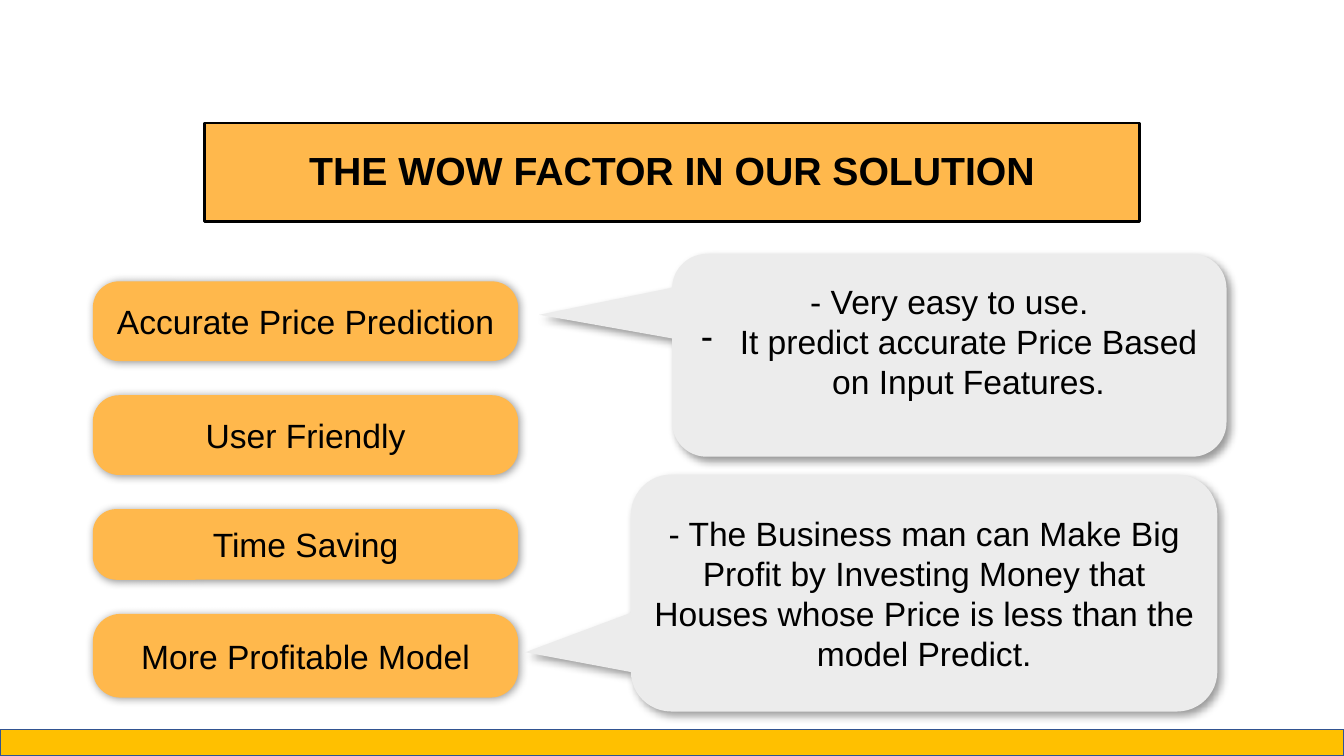
import pptx
import pptx.util
import pptx.oxml
import pptx.oxml.ns
import pptx.dml.color
import pptx.enum.shapes
import pptx.enum.text
from pptx.util import Cm

COLORS = {"pill": "FFB84C", "callout": "ECECEC", "footer": "FFC000",
          "footer_line": "325491", "ink": "000000"}
NS = pptx.oxml.ns.nsdecls("a")
MSO = pptx.enum.shapes.MSO_SHAPE


def format_text(sp, size, bold=False):
    tf = sp.text_frame
    tf.word_wrap = True
    tf.auto_size = pptx.enum.text.MSO_AUTO_SIZE.NONE
    tf.vertical_anchor = pptx.enum.text.MSO_ANCHOR.MIDDLE
    for p in tf.paragraphs:
        p.alignment = pptx.enum.text.PP_ALIGN.CENTER
        for r in p.runs:
            r.font.size = pptx.util.Pt(size)
            r.font.name = "Arial"
            r.font.bold = bold
            r.font.color.rgb = pptx.dml.color.RGBColor.from_string(COLORS["ink"])


def add_card(s, kind, box, adjustments, color, distance, text):
    sp = s.shapes.add_shape(kind, *[Cm(v) for v in box])
    for i, value in enumerate(adjustments):
        sp.adjustments[i] = value
    sp.fill.solid()
    sp.fill.fore_color.rgb = pptx.dml.color.RGBColor.from_string(COLORS[color])
    sp.line.fill.background()
    sp._element.spPr.append(pptx.oxml.parse_xml(
        f'<a:effectLst {NS}><a:outerShdw blurRad="{pptx.util.Pt(6)}" '
        f'dist="{pptx.util.Pt(distance)}" dir="2700000" algn="tl" rotWithShape="0">'
        f'<a:srgbClr val="{COLORS["ink"]}"><a:alpha val="40000"/></a:srgbClr>'
        '</a:outerShdw></a:effectLst>'))
    sp.text_frame.text = text
    format_text(sp, 24)
    return sp


prs = pptx.Presentation()
prs.slide_width = Cm(33.87)
prs.slide_height = Cm(19.05)
s = prs.slides.add_slide(prs.slide_layouts[5])

footer = s.shapes.add_shape(MSO.RECTANGLE, 0, Cm(18.39), prs.slide_width, Cm(0.66))
footer.shadow.inherit = False
footer.fill.solid()
footer.fill.fore_color.rgb = pptx.dml.color.RGBColor.from_string(COLORS["footer"])
footer.line.color.rgb = pptx.dml.color.RGBColor.from_string(COLORS["footer_line"])
footer.line.width = pptx.util.Pt(1)

title = s.shapes.title
title.left, title.top, title.width, title.height = Cm(5.16), Cm(3.1), Cm(23.55), Cm(2.49)
title._element.spPr.append(pptx.oxml.parse_xml(
    f'<a:prstGeom {NS} prst="snip2DiagRect"><a:avLst>'
    '<a:gd name="adj1" fmla="val 27000"/><a:gd name="adj2" fmla="val 27000"/>'
    '</a:avLst></a:prstGeom>'))
title.fill.solid()
title.fill.fore_color.rgb = pptx.dml.color.RGBColor.from_string(COLORS["pill"])
title.line.color.rgb = pptx.dml.color.RGBColor.from_string(COLORS["ink"])
title.line.width = pptx.util.Pt(2)
title.text_frame.text = "THE WOW FACTOR IN OUR SOLUTION"
format_text(title, 28, bold=True)
title.text_frame.paragraphs[0].line_spacing = 0.9

benefits = [("Accurate Price Prediction", 2.01), ("User Friendly", 2.01),
            ("Time Saving", 1.78), ("More Profitable Model", 2.11)]
top = 7.09
for text, height in benefits:
    add_card(s, MSO.ROUNDED_RECTANGLE, (2.34, top, 10.72, height), [0.33],
             "pill", 1, text)
    top += height + 0.86

add_card(s, MSO.ROUNDED_RECTANGULAR_CALLOUT, (15.9, 11.96, 14.78, 5.97),
         [-0.68, 0.25, 0.17], "callout", 4,
         "- The Business man can Make Big Profit by Investing Money that "
         "Houses whose Price is less than the model Predict.")

usage = add_card(s, MSO.ROUNDED_RECTANGULAR_CALLOUT, (16.94, 6.4, 13.97, 5.11),
                 [-0.74, -0.2, 0.17], "callout", 4,
                 "- Very easy to use.\nIt predict accurate Price Based on Input Features.")
usage.text_frame.margin_bottom = Cm(0.84)
pPr = usage.text_frame.paragraphs[1]._p.get_or_add_pPr()
pPr.set("marL", str(Cm(0.97)))
pPr.set("indent", str(Cm(-0.97)))
pPr.append(pptx.oxml.parse_xml(
    f'<a:buClr {NS}><a:srgbClr val="{COLORS["ink"]}"/></a:buClr>'))
pPr.append(pptx.oxml.parse_xml(f'<a:buChar {NS} char="-"/>'))

prs.save("out.pptx")
